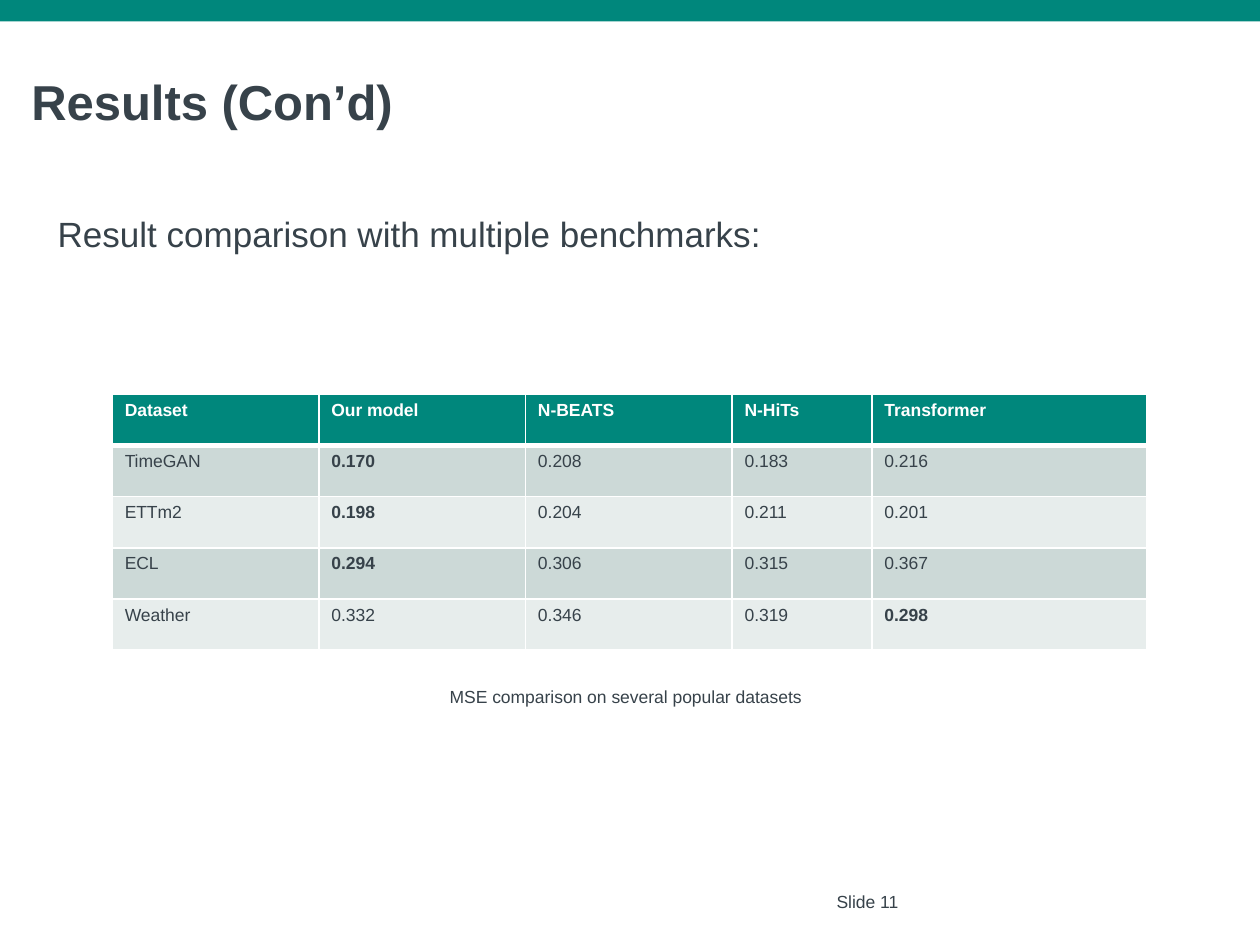
from dataclasses import dataclass

from lxml import etree
from pptx import Presentation
from pptx.dml.color import RGBColor
from pptx.enum.shapes import MSO_SHAPE
from pptx.enum.text import MSO_ANCHOR, PP_ALIGN
from pptx.oxml.ns import qn
from pptx.util import Inches, Pt

RECTANGLE = MSO_SHAPE.RECTANGLE
MIDDLE = MSO_ANCHOR.MIDDLE
LEFT, CENTER = PP_ALIGN.LEFT, PP_ALIGN.CENTER


@dataclass(frozen=True)
class Theme:
    font: str = "Arial"
    accent: str = "00877C"
    ink: str = "37424A"
    white: str = "FFFFFF"
    bands: tuple = ("CCD9D7", "E7EDEC")
    title: int = 28
    body: int = 20
    small: int = 10
    rule: int = 1
    header_rule: int = 3


THEME = Theme()

CAPTIONS = [
    ("Slide 11", (5.72, 7.05, 2.33, 0.21), THEME.small, False, CENTER, True),
    ("Results (Con’d)", (0.15, 0.52, 3.11, 0.57), THEME.title, True, LEFT, False),
    ("Result comparison with multiple benchmarks:", (0.36, 1.63, 9.17, 0.44),
     THEME.body, False, LEFT, True),
    ("MSE comparison on several popular datasets", (3.47, 5.39, 3.05, 0.27),
     THEME.small, False, LEFT, False),
]

MODELS = ["Our model", "N-BEATS", "N-HiTs", "Transformer"]
ERRORS = {
    "TimeGAN": [0.170, 0.208, 0.183, 0.216],
    "ETTm2": [0.198, 0.204, 0.211, 0.201],
    "ECL": [0.294, 0.306, 0.315, 0.367],
    "Weather": [0.332, 0.346, 0.319, 0.298],
}
COLUMN_WIDTHS = [1.64, 1.64, 1.64, 1.11, 2.18]
TABLE_LEFT, TABLE_TOP, TABLE_HEIGHT = 0.89, 3.13, 2.03


def style(paragraph, size, color, bold):
    font = paragraph.font
    font.name, font.size, font.bold = THEME.font, Pt(size), bold
    font.color.rgb = RGBColor.from_string(color)


def fill(target, color):
    target.fill.solid()
    target.fill.fore_color.rgb = RGBColor.from_string(color)


def add_caption(slide, text, box, size, bold, align, wrap):
    frame = slide.shapes.add_textbox(*map(Inches, box)).text_frame
    frame.word_wrap = wrap
    frame.vertical_anchor = MIDDLE
    paragraph = frame.paragraphs[0]
    paragraph.text, paragraph.alignment = text, align
    style(paragraph, size, THEME.ink, bold)


def set_borders(cell, top, bottom):
    properties = cell._tc.get_or_add_tcPr()
    widths = {"lnL": THEME.rule, "lnR": THEME.rule, "lnT": top, "lnB": bottom}
    for position, (side, width) in enumerate(widths.items()):
        line = etree.Element(qn(f"a:{side}"), w=str(Pt(width)))
        solid = etree.SubElement(line, qn("a:solidFill"))
        etree.SubElement(solid, qn("a:srgbClr"), val=THEME.white)
        properties.insert(position, line)


def fill_cell(cell, text, background, color, bold, top, bottom):
    cell.text = text
    style(cell.text_frame.paragraphs[0], THEME.small, color, bold)
    fill(cell, background)
    set_borders(cell, top, bottom)


def add_results(slide):
    row_count = len(ERRORS) + 1
    results = slide.shapes.add_table(
        row_count, len(COLUMN_WIDTHS), Inches(TABLE_LEFT), Inches(TABLE_TOP),
        Inches(sum(COLUMN_WIDTHS)), Inches(TABLE_HEIGHT)).table
    for column, width in zip(results.columns, COLUMN_WIDTHS):
        column.width = Inches(width)
    for column, heading in enumerate(["Dataset", *MODELS]):
        fill_cell(results.cell(0, column), heading, THEME.accent, THEME.white,
                  True, THEME.rule, THEME.header_rule)
    for row, (dataset, errors) in enumerate(ERRORS.items(), 1):
        band = THEME.bands[(row - 1) % 2]
        top = THEME.header_rule if row == 1 else THEME.rule
        entries = [(dataset, False)]
        entries += [(f"{error:.3f}", error == min(errors)) for error in errors]
        for column, (text, best) in enumerate(entries):
            fill_cell(results.cell(row, column), text, band, THEME.ink,
                      best, top, THEME.rule)


presentation = Presentation()
presentation.slide_width, presentation.slide_height = Inches(10), Inches(7.5)
slide = presentation.slides.add_slide(presentation.slide_layouts[6])

banner = slide.shapes.add_shape(RECTANGLE, 0, 0, Inches(10), Inches(0.17))
banner.shadow.inherit = False
banner.line.fill.background()
fill(banner, THEME.accent)

for caption in CAPTIONS:
    add_caption(slide, *caption)
add_results(slide)

presentation.save("out.pptx")
